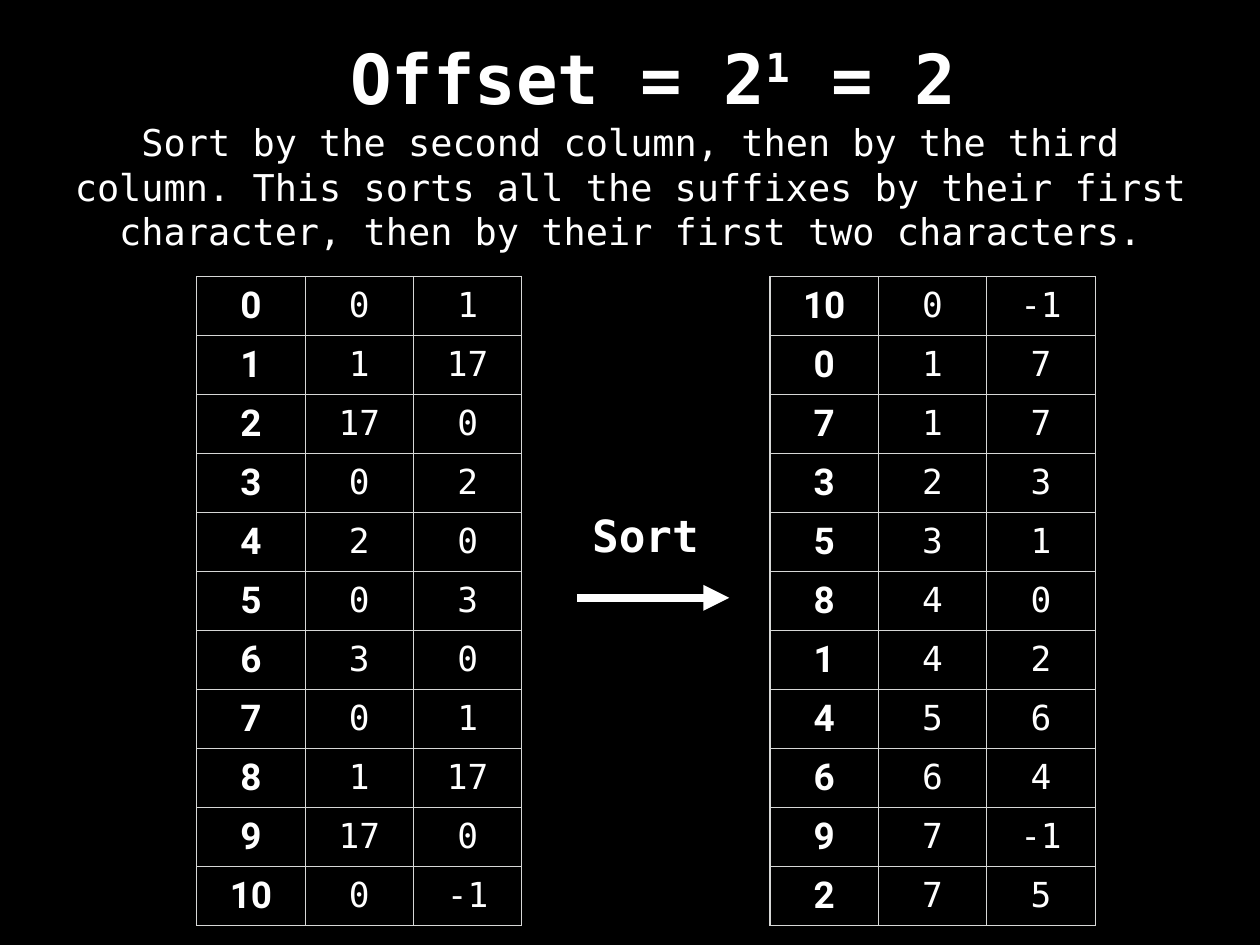
from lxml.etree import SubElement
from pptx import Presentation
from pptx.dml.color import RGBColor
from pptx.enum.shapes import MSO_CONNECTOR as Connector
from pptx.enum.text import MSO_ANCHOR as Anchor, PP_ALIGN as Align
from pptx.oxml.ns import qn
from pptx.util import Inches, Pt

COLORS = {"background": "000000", "text": "FFFFFF", "grid": "D6D7D6"}
MONO, ROBOTO = "DejaVu Sans Mono", "Roboto"
INSET = Inches(0.06)

UNSORTED = [
    (0, 0, 1), (1, 1, 17), (2, 17, 0), (3, 0, 2), (4, 2, 0), (5, 0, 3),
    (6, 3, 0), (7, 0, 1), (8, 1, 17), (9, 17, 0), (10, 0, -1),
]
SORTED = [
    (10, 0, -1), (0, 1, 7), (7, 1, 7), (3, 2, 3), (5, 3, 1), (8, 4, 0),
    (1, 4, 2), (4, 5, 6), (6, 6, 4), (9, 7, -1), (2, 7, 5),
]


def color(name):
    """Return the named colour."""
    return RGBColor.from_string(COLORS[name])


def add_span(para, text, size, font=MONO, bold=False):
    """Add a white run to a centred paragraph."""
    para.alignment = Align.CENTER
    span = para.add_run()
    span.text = text
    span.font.name = font
    span.font.size = Pt(size)
    span.font.bold = bold
    span.font.color.rgb = color("text")
    return span


def add_text(page, box, spans, size, bold=False, wrap=True):
    """Add a centred line of text whose spans are (text, baseline) pairs."""
    frame = page.shapes.add_textbox(*map(Inches, box)).text_frame
    frame.word_wrap = wrap
    frame.vertical_anchor = Anchor.MIDDLE
    frame.margin_left = frame.margin_right = INSET
    frame.margin_top = frame.margin_bottom = INSET
    for text, baseline in spans:
        span = add_span(frame.paragraphs[0], text, size, bold=bold)
        if baseline:
            span._r.get_or_add_rPr().set("baseline", str(baseline * 1000))


def add_borders(cell):
    """Draw a thin grey line on each side of a cell."""
    properties = cell._tc.get_or_add_tcPr()
    for side in ("a:lnL", "a:lnR", "a:lnT", "a:lnB"):
        line = SubElement(properties, qn(side), w=str(Pt(1)))
        fill = SubElement(line, qn("a:solidFill"))
        SubElement(fill, qn("a:srgbClr"), val=COLORS["grid"])


def add_suffix_table(page, box, rows):
    """Add a table of suffix indices with their two rank columns."""
    left, top, width, height = map(Inches, box)
    table = page.shapes.add_table(len(rows), len(rows[0]), left, top, width, height).table
    table.first_row = table.horz_banding = False
    for row_index, row in enumerate(rows):
        for column_index, value in enumerate(row):
            cell = table.cell(row_index, column_index)
            add_borders(cell)
            cell.fill.background()
            cell.vertical_anchor = Anchor.MIDDLE
            cell.margin_left = cell.margin_right = INSET
            cell.margin_top = cell.margin_bottom = INSET
            para = cell.text_frame.paragraphs[0]
            if column_index == 0:
                add_span(para, str(value), 30, ROBOTO, bold=True)
            else:
                add_span(para, str(value), 28)


def add_sort_arrow(page, box):
    """Add the arrow along the bottom of the box, with its label above."""
    left, top, width, height = box
    bottom = Inches(top + height)
    arrow = page.shapes.add_connector(
        Connector.STRAIGHT, Inches(left), bottom, Inches(left + width), bottom)
    arrow.line.color.rgb = color("text")
    arrow.line.width = Pt(7)
    SubElement(arrow.line._get_or_add_ln(), qn("a:tailEnd"), type="triangle")
    SubElement(arrow._element.spPr, qn("a:effectLst"))
    add_text(page, (left + 0.11, top, 1.33, 0.68), [("Sort", 0)], 36, bold=True, wrap=False)


def add_sort_slide(deck):
    """Add the slide that sorts the suffixes by their first two characters."""
    page = deck.slides.add_slide(deck.slide_layouts[6])
    page.background.fill.solid()
    page.background.fill.fore_color.rgb = color("background")
    add_text(page, (2.36, 0.36, 10.02, 1.01),
             [("Offset = 2", 0), ("1", 32), (" = 2", 0)], 56, bold=True)
    add_text(page, (0.57, 1.32, 13.09, 1.57),
             [("Sort by the second column, then by the third column. "
               "This sorts all the suffixes by their first character, "
               "then by their first two characters.", 0)], 30)
    for left, rows in ((2.22, UNSORTED), (8.69, SORTED)):
        add_suffix_table(page, (left, 3.12, 3.67, 7.33), rows)
    add_sort_arrow(page, (6.51, 5.7, 1.72, 1.05))


def main():
    """Build and save the deck."""
    deck = Presentation()
    deck.slide_width, deck.slide_height = Inches(14.22), Inches(10.67)
    add_sort_slide(deck)
    deck.save("out.pptx")


if __name__ == "__main__":
    main()
